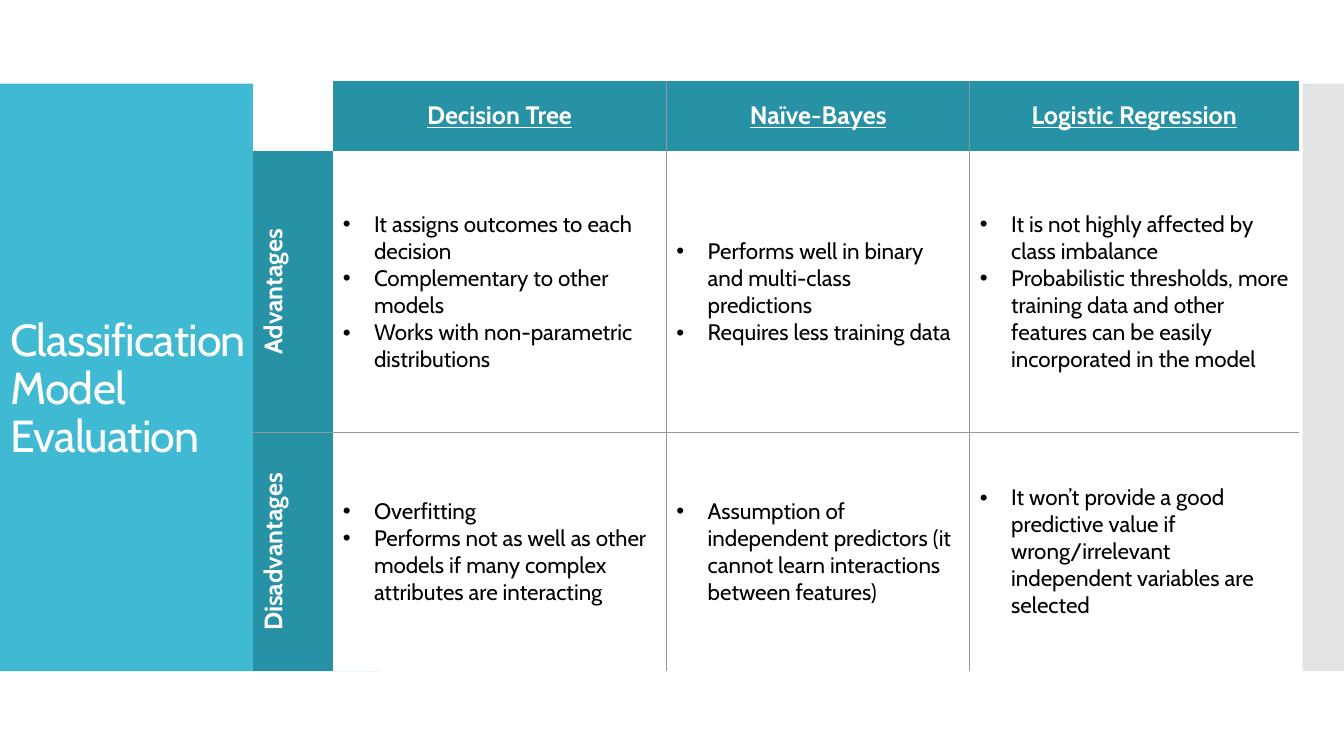
from dataclasses import dataclass

from lxml import etree
from pptx import Presentation
from pptx.dml.color import RGBColor
from pptx.enum.shapes import MSO_SHAPE
from pptx.enum.text import MSO_ANCHOR, MSO_AUTO_SIZE, PP_ALIGN
from pptx.oxml.ns import qn
from pptx.util import Inches, Pt

RECTANGLE = MSO_SHAPE.RECTANGLE
LEFT, CENTER = PP_ALIGN.LEFT, PP_ALIGN.CENTER
MIDDLE, BOTTOM = MSO_ANCHOR.MIDDLE, MSO_ANCHOR.BOTTOM
NO_AUTOFIT = MSO_AUTO_SIZE.NONE
TITLE_ONLY = 5
NO_STYLE_NO_GRID = "{2D5ABB26-0587-4C30-8999-92F81FD0307C}"


@dataclass(frozen=True)
class Theme:
    font: str = "Cabin"
    panel: str = "40BAD2"
    strip: str = "C8C8C8"
    header: str = "2791A6"
    white: str = "FFFFFF"
    black: str = "000000"
    rule: str = "989898"
    title_size: int = 32
    header_size: int = 18
    body_size: int = 16


THEME = Theme()

MODELS = ["Decision Tree", "Naïve-Bayes", "Logistic Regression"]
EVALUATION = {
    "Advantages": [
        ["It assigns outcomes to each decision",
         "Complementary to other models",
         "Works with non-parametric distributions"],
        ["Performs well in binary and multi-class predictions",
         "Requires less training data"],
        ["It is not highly affected by class imbalance",
         "Probabilistic thresholds, more training data and other features "
         "can be easily incorporated in the model"],
    ],
    "Disadvantages": [
        ["Overfitting",
         "Performs not as well as other models if many complex attributes "
         "are interacting"],
        ["Assumption of independent predictors (it cannot learn interactions "
         "between features)"],
        ["It won’t provide a good predictive value if wrong/irrelevant "
         "independent variables are selected"],
    ],
}
COLUMN_WIDTHS = [0.79, 3.31, 3.01, 3.26]
ROW_HEIGHTS = [0.7, 2.79, 2.37]


def add_panel(page, left, width, color, opacity=100):
    panel = page.shapes.add_shape(RECTANGLE, Inches(left), Inches(0.83),
                                  Inches(width), Inches(5.83))
    panel.shadow.inherit = False
    panel.line.fill.background()
    panel.fill.solid()
    panel.fill.fore_color.rgb = RGBColor.from_string(color)
    if opacity < 100:
        color_node = panel.element.spPr.find(qn("a:solidFill"))[0]
        etree.SubElement(color_node, qn("a:alpha"), val=str(opacity * 1000))


def style_span(span, size, color, bold=False, underline=False):
    span.font.name = THEME.font
    span.font.size = Pt(size)
    span.font.color.rgb = RGBColor.from_string(color)
    span.font.bold = bold
    span.font.underline = underline


def place_title(page, text):
    title = page.shapes.title
    # Bring the title in front of the panels
    title.element.getparent().append(title.element)
    title.left, title.top = Inches(0), Inches(2.04)
    title.width, title.height = Inches(3.1), Inches(2.6)
    frame = title.text_frame
    frame.text = text
    frame.word_wrap = True
    frame.auto_size = NO_AUTOFIT
    frame.vertical_anchor = BOTTOM
    para = frame.paragraphs[0]
    para.alignment = LEFT
    para.line_spacing = 0.9
    for span in para.runs:
        style_span(span, THEME.title_size, THEME.white)
        span.font._element.set("spc", "-60")


def add_borders(cell, sides):
    properties = cell._tc.get_or_add_tcPr()
    for side in sides:
        line = etree.SubElement(properties, qn(f"a:ln{side}"), w=str(Pt(1)))
        fill = etree.SubElement(line, qn("a:solidFill"))
        etree.SubElement(fill, qn("a:srgbClr"), val=THEME.rule)


def inner_sides(row, column):
    """Sides with a rule: between models, and between the two body rows."""
    tests = {"L": column > 1, "R": 0 < column < len(MODELS),
             "T": row == 2, "B": row == 1}
    return [side for side, drawn in tests.items() if drawn]


def fill_cell(cell, color):
    cell.fill.solid()
    cell.fill.fore_color.rgb = RGBColor.from_string(color)
    cell.vertical_anchor = MIDDLE


def write_heading(cell, text, vertical=False):
    fill_cell(cell, THEME.header)
    cell.text_frame.text = text
    para = cell.text_frame.paragraphs[0]
    para.alignment = CENTER
    style_span(para.runs[0], THEME.header_size, THEME.white, bold=True,
               underline=not vertical)
    if vertical:
        cell._tc.get_or_add_tcPr().set("vert", "vert270")


def write_bullets(cell, items):
    fill_cell(cell, THEME.white)
    cell.text_frame.text = "\n".join(items)
    for para in cell.text_frame.paragraphs:
        properties = para._p.get_or_add_pPr()
        properties.set("marL", str(Inches(0.31)))
        properties.set("indent", str(-Inches(0.31)))
        etree.SubElement(properties, qn("a:buFont"), typeface="Arial")
        etree.SubElement(properties, qn("a:buChar"), char="•")
        style_span(para.runs[0], THEME.body_size, THEME.black)


def add_evaluation_table(page):
    frame = page.shapes.add_table(
        len(ROW_HEIGHTS), len(COLUMN_WIDTHS), Inches(2.51), Inches(0.8),
        Inches(sum(COLUMN_WIDTHS)), Inches(sum(ROW_HEIGHTS)))
    table = frame.table
    table.horz_banding = False
    table._tbl.tblPr.find(qn("a:tableStyleId")).text = NO_STYLE_NO_GRID
    for column, width in zip(table.columns, COLUMN_WIDTHS):
        column.width = Inches(width)
    for row, height in zip(table.rows, ROW_HEIGHTS):
        row.height = Inches(height)

    # Rules come before fills in the cell properties
    for row in range(len(ROW_HEIGHTS)):
        for column in range(len(COLUMN_WIDTHS)):
            add_borders(table.cell(row, column), inner_sides(row, column))

    # Header row
    fill_cell(table.cell(0, 0), THEME.white)
    for column, model in enumerate(MODELS, 1):
        write_heading(table.cell(0, column), model)

    # Body rows
    for row, (label, entries) in enumerate(EVALUATION.items(), 1):
        write_heading(table.cell(row, 0), label, vertical=True)
        for column, items in enumerate(entries, 1):
            write_bullets(table.cell(row, column), items)


def main():
    deck = Presentation()
    deck.slide_width, deck.slide_height = Inches(13.33), Inches(7.5)
    page = deck.slides.add_slide(deck.slide_layouts[TITLE_ONLY])

    # Side panels
    add_panel(page, 0, 3.77, THEME.panel)
    add_panel(page, 12.92, 0.41, THEME.strip, opacity=50)

    # Title and comparison
    place_title(page, "Classification\vModel Evaluation")
    add_evaluation_table(page)
    deck.save("out.pptx")


if __name__ == "__main__":
    main()
